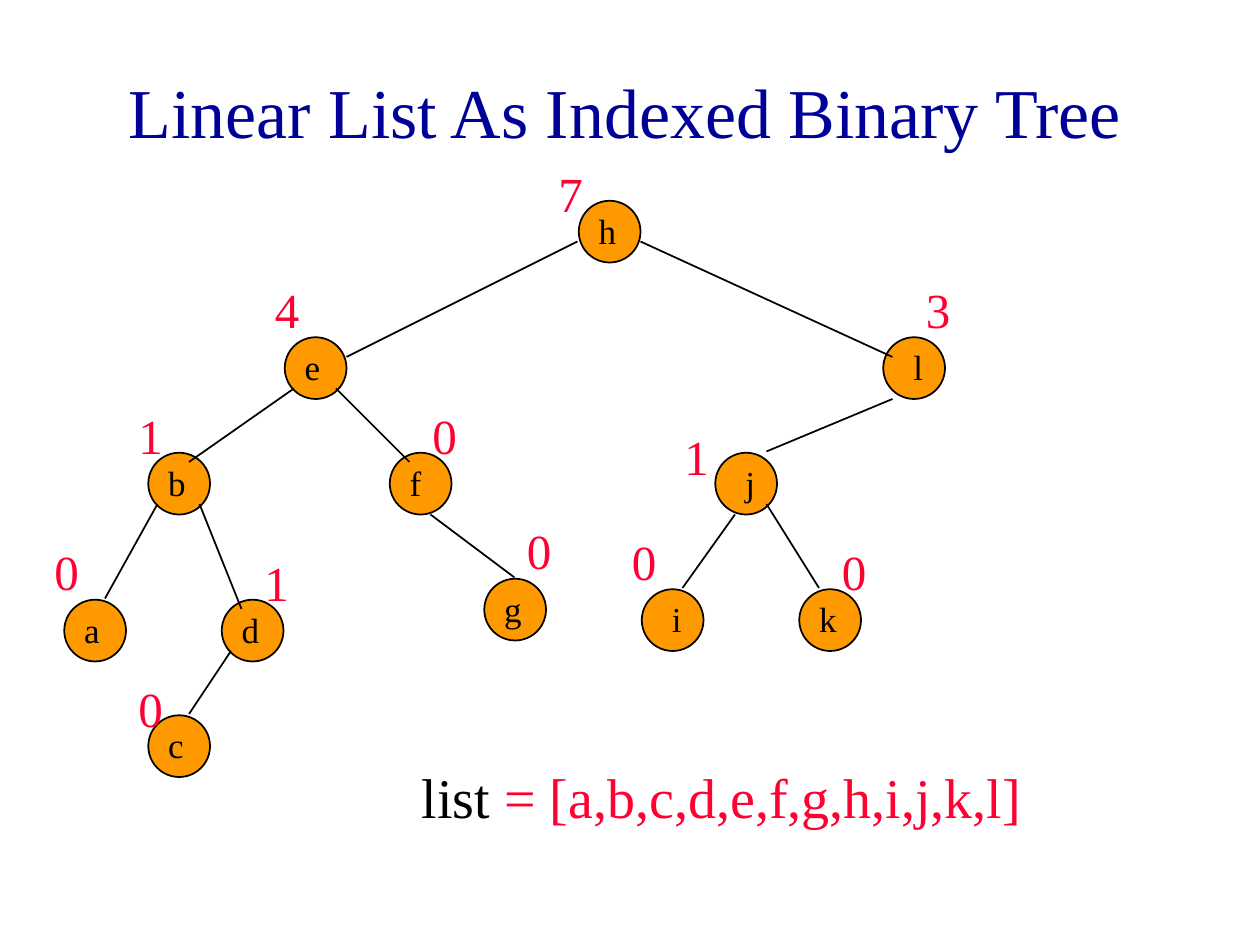
from lxml import etree
from pptx import Presentation
from pptx.dml.color import RGBColor
from pptx.enum.shapes import MSO_CONNECTOR, MSO_SHAPE
from pptx.enum.text import MSO_ANCHOR, MSO_AUTO_SIZE, PP_ALIGN
from pptx.oxml.ns import qn
from pptx.util import Inches, Pt

STRAIGHT = MSO_CONNECTOR.STRAIGHT
OVAL = MSO_SHAPE.OVAL
MIDDLE = MSO_ANCHOR.MIDDLE
CENTER = PP_ALIGN.CENTER
FIT_SHAPE = MSO_AUTO_SIZE.SHAPE_TO_FIT_TEXT

NAVY = RGBColor(0x00, 0x00, 0x99)
ORANGE = RGBColor(0xFF, 0x99, 0x00)
RED = RGBColor(0xFF, 0x00, 0x33)
BLACK = RGBColor(0x00, 0x00, 0x00)

FONT = "Times New Roman"
CELLS_PER_INCH = 12
NODE_SIZE = 0.49
LETTER_HEIGHT = 0.43
LETTER_WIDTHS = {"l": 0.28, "j": 0.28, "i": 0.28, "f": 0.29,
                 "a": 0.32, "c": 0.32, "e": 0.32}
NARROW_LETTERS = "ijl"

# Each node: grid column and row, then left size with its column and row.
NODES = {
    "h": (55, 19, "7", 52, 15),
    "e": (27, 32, "4", 25, 26),
    "l": (84, 32, "3", 87, 26),
    "b": (14, 43, "1", 12, 38),
    "f": (37, 43, "0", 40, 38),
    "j": (68, 43, "1", 64, 40),
    "a": (6, 57, "0", 4, 51),
    "d": (21, 57, "1", 24, 52),
    "g": (46, 55, "0", 49, 49),
    "i": (61, 56, "0", 59, 50),
    "k": (76, 56, "0", 79, 51),
    "c": (14, 68, "0", 12, 64),
}
EDGES = [
    (55, 23, 33, 34), (61, 23, 85, 34),
    (28, 37, 18, 44), (32, 37, 39, 44), (85, 38, 73, 43),
    (15, 48, 10, 57), (19, 48, 23, 58), (41, 49, 49, 55),
    (70, 49, 65, 56), (73, 48, 78, 56), (22, 62, 18, 68),
]


def grid(cells):
    """Convert grid cells to a length."""
    return Inches(cells / CELLS_PER_INCH)


def add_run(paragraph, text, size, color):
    """Append one formatted run."""
    run = paragraph.add_run()
    run.text = text
    run.font.name = FONT
    run.font.size = Pt(size)
    run.font.color.rgb = color


def add_text(slide, left, top, width, height, runs, size, wrap=True):
    """Add a text box of (text, color) runs and return its paragraph."""
    box = slide.shapes.add_textbox(left, top, width, height)
    frame = box.text_frame
    frame.word_wrap = wrap
    frame.auto_size = FIT_SHAPE
    paragraph = frame.paragraphs[0]
    for text, color in runs:
        add_run(paragraph, text, size, color)
    return paragraph


def space_before_half(paragraph):
    """Set the space before a paragraph to half a line."""
    properties = paragraph._p.get_or_add_pPr()
    spacing = etree.SubElement(properties, qn("a:spcBef"))
    etree.SubElement(spacing, qn("a:spcPct")).set("val", "50000")


def add_title(slide, text):
    """Place and format the title placeholder."""
    title = slide.shapes.title
    title.left, title.top = grid(1), grid(3)
    title.width, title.height = grid(117), grid(15)
    frame = title.text_frame
    frame.vertical_anchor = MIDDLE
    frame.word_wrap = True
    paragraph = frame.paragraphs[0]
    paragraph.alignment = CENTER
    add_run(paragraph, text, 40, NAVY)


def add_node(slide, column, row):
    """Draw the circle of one tree node."""
    size = Inches(NODE_SIZE)
    node = slide.shapes.add_shape(OVAL, grid(column) + Inches(0.01),
                                  grid(row) + Inches(0.01), size, size)
    node.shadow.inherit = False
    node.fill.solid()
    node.fill.fore_color.rgb = ORANGE
    node.line.color.rgb = BLACK
    node.line.width = Pt(1)


def add_edge(slide, *ends):
    """Draw a line between two grid points."""
    edge = slide.shapes.add_connector(STRAIGHT, *map(grid, ends))
    edge.line.color.rgb = BLACK
    edge.line.width = Pt(1)
    etree.SubElement(edge._element.spPr, qn("a:effectLst"))


def add_letter(slide, letter, column, row):
    """Write the letter of a node over its circle."""
    indent = 0.15 if letter in NARROW_LETTERS else 0.07
    add_text(slide, grid(column) + Inches(indent), grid(row) + Inches(0.03),
             Inches(LETTER_WIDTHS.get(letter, 0.34)), Inches(LETTER_HEIGHT),
             [(letter, BLACK)], 20, wrap=False)


def add_left_size(slide, value, column, row):
    """Write the left size beside a node."""
    paragraph = add_text(slide, grid(column), grid(row), grid(3),
                         Inches(0.57), [(value, RED)], 28)
    space_before_half(paragraph)


def main():
    """Build the indexed binary tree slide."""
    presentation = Presentation()
    presentation.slide_width = Inches(10)
    presentation.slide_height = Inches(7.5)
    slide = presentation.slides.add_slide(presentation.slide_layouts[5])
    add_title(slide, "Linear List As Indexed Binary Tree")

    for column, row, *_ in NODES.values():
        add_node(slide, column, row)
    for edge in EDGES:
        add_edge(slide, *edge)
    for letter, (column, row, *left_size) in NODES.items():
        add_letter(slide, letter, column, row)
        add_left_size(slide, *left_size)

    elements = ",".join(sorted(NODES))
    paragraph = add_text(slide, grid(39), grid(72), grid(61), Inches(0.63),
                         [("list", BLACK), (f" = [{elements}]", RED)], 32)
    space_before_half(paragraph)
    presentation.save("out.pptx")


if __name__ == "__main__":
    main()
